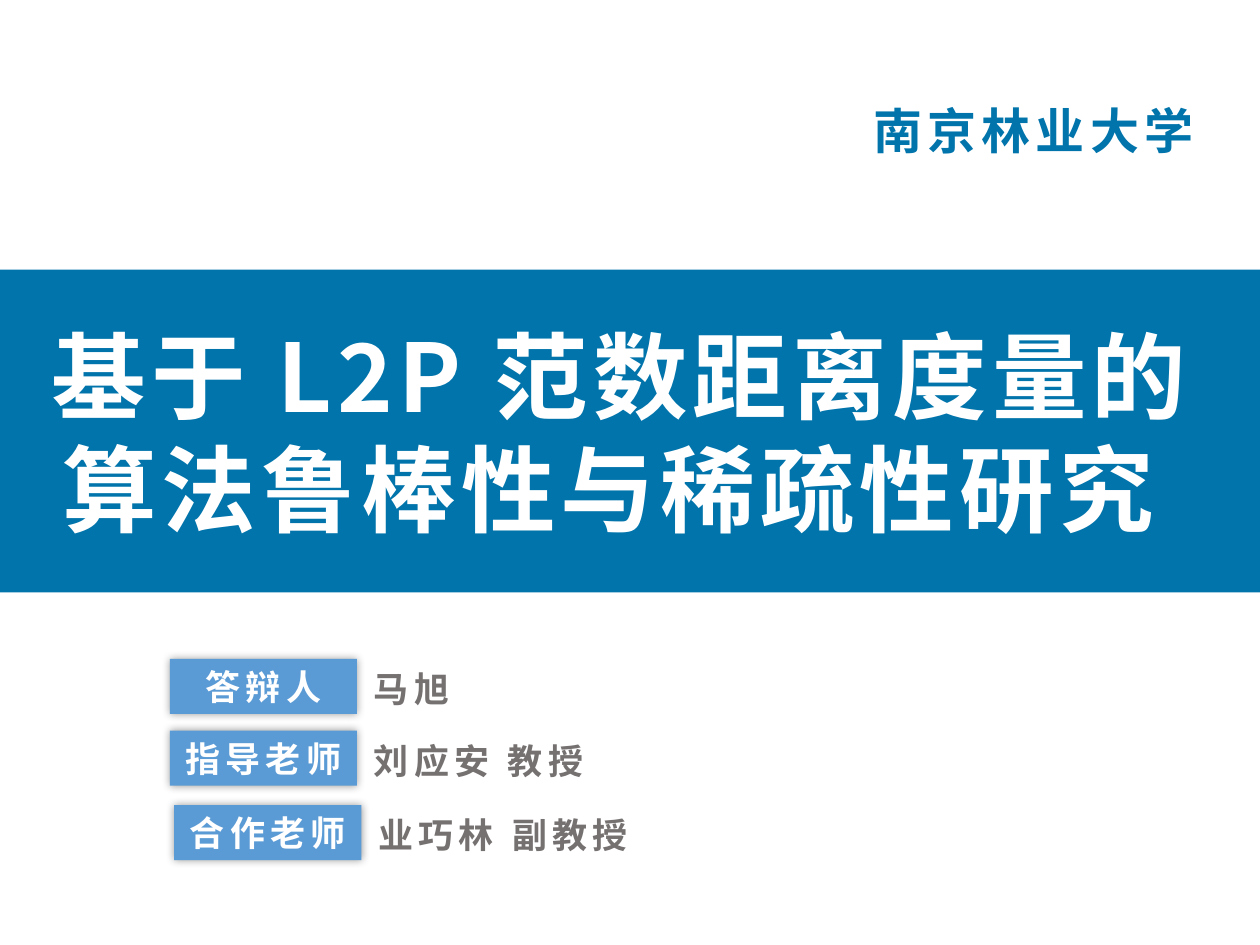
from lxml import etree
from pptx import Presentation
from pptx.dml.color import RGBColor
from pptx.enum.shapes import MSO_SHAPE as SHAPE
from pptx.enum.text import MSO_ANCHOR as ANCHOR, MSO_AUTO_SIZE as FIT, PP_ALIGN as ALIGN
from pptx.oxml.ns import qn
from pptx.util import Pt

FONT = "Noto Sans CJK SC"
DEEP_BLUE = RGBColor(0x01, 0x74, 0xAB)
LABEL_BLUE = RGBColor(0x5B, 0x9B, 0xD5)
GREY = RGBColor(0x76, 0x71, 0x71)
WHITE = RGBColor(0xFF, 0xFF, 0xFF)
BLACK = RGBColor(0x00, 0x00, 0x00)


def write(s, text, size, color, align=ALIGN.LEFT):
    """Fill a shape with one bold, letter-spaced paragraph."""
    tf = s.text_frame
    tf.word_wrap = True
    tf.text = text
    p = tf.paragraphs[0]
    p.alignment = align
    r = p.runs[0]
    r.font.size = Pt(size)
    r.font.bold = True
    r.font.color.rgb = color
    r.font.name = FONT
    rpr = r.font._element if hasattr(r.font, "_element") else r._r.get_or_add_rPr()
    rpr.set("spc", "300")
    etree.SubElement(rpr, qn("a:ea"), typeface=FONT)


def add_box(left, top, width, height, fill):
    s = slide.shapes.add_shape(SHAPE.RECTANGLE, Pt(left), Pt(top), Pt(width), Pt(height))
    s.shadow.inherit = False
    s.fill.solid()
    s.fill.fore_color.rgb = fill
    s.line.fill.background()
    return s


prs = Presentation()
prs.slide_width, prs.slide_height = Pt(720), Pt(540)
slide = prs.slides.add_slide(prs.slide_layouts[6])

# School name, title band and title
add_box(0, 154, 720, 184.5, DEEP_BLUE)
for text, left, top, width, height, size, color, align in [
    ("南京林业大学", 492, 54, 215, 41, 28, DEEP_BLUE, ALIGN.LEFT),
    ("基于 L2P 范数距离度量的算法鲁棒性与稀疏性研究 ", 5, 178, 700.5, 138, 54, WHITE, ALIGN.CENTER),
]:
    s = slide.shapes.add_textbox(Pt(left), Pt(top), Pt(width), Pt(height))
    write(s, text, size, color, align)
    s.text_frame.auto_size = FIT.SHAPE_TO_FIT_TEXT

# People: a shadowed label with the name to its right
for label, name, left, top, name_width in [
    ("答辩人", "马旭", 97, 376.5, 127.5),
    ("指导老师", "刘应安 教授", 97, 417.5, 155.5),
    ("合作老师", "业巧林 副教授", 99.5, 460, 173),
]:
    s = add_box(left, top, 107, 31.5, LABEL_BLUE)
    effects = s._element.spPr.find(qn("a:effectLst"))
    shadow = etree.SubElement(effects, qn("a:outerShdw"), blurRad=str(Pt(5)), dist="0", dir="0",
                              algn="ctr", rotWithShape="0")
    tint = etree.SubElement(shadow, qn("a:srgbClr"), val=str(BLACK))
    etree.SubElement(tint, qn("a:alpha"), val="40000")
    write(s, label, 20, WHITE, ALIGN.CENTER)
    s.text_frame.vertical_anchor = ANCHOR.MIDDLE

    s = slide.shapes.add_textbox(Pt(left + 109.5), Pt(top + 1.5), Pt(name_width), Pt(31.5))
    write(s, name, 20, GREY)
    s.text_frame.auto_size = FIT.SHAPE_TO_FIT_TEXT

prs.save("out.pptx")
